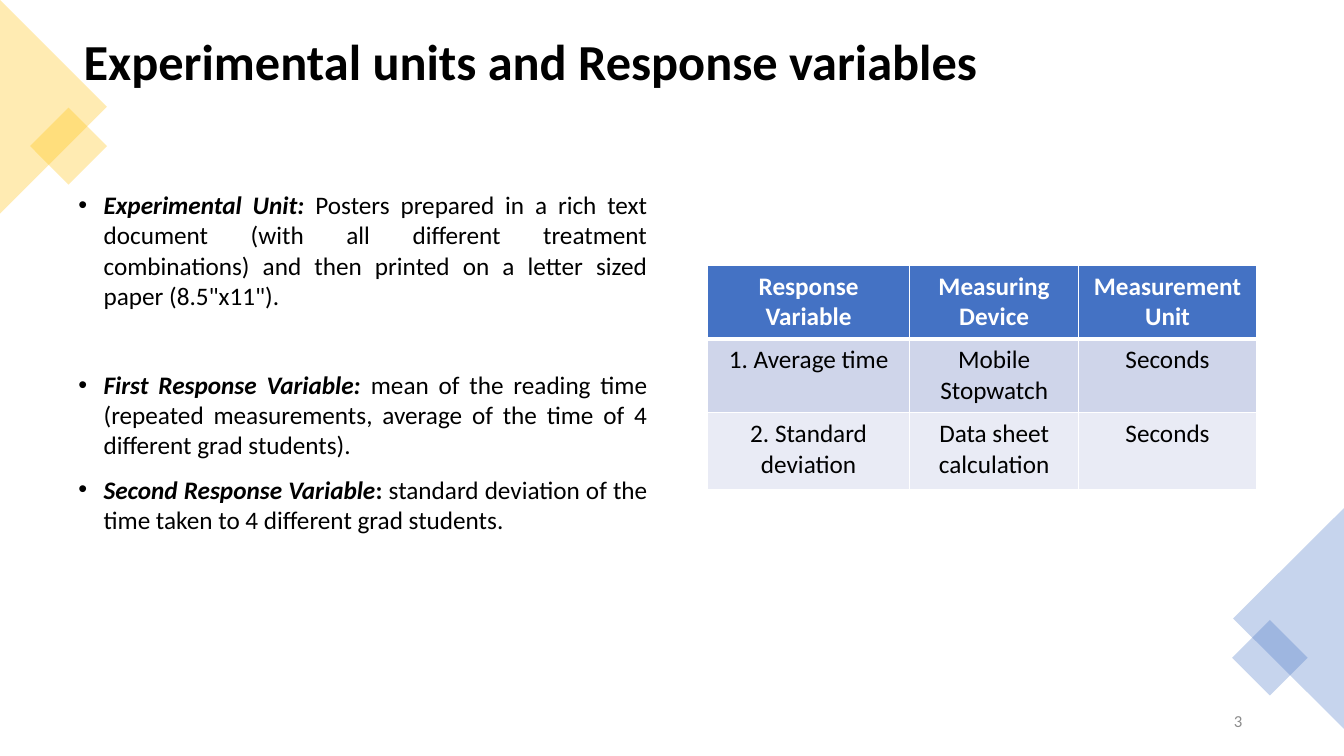
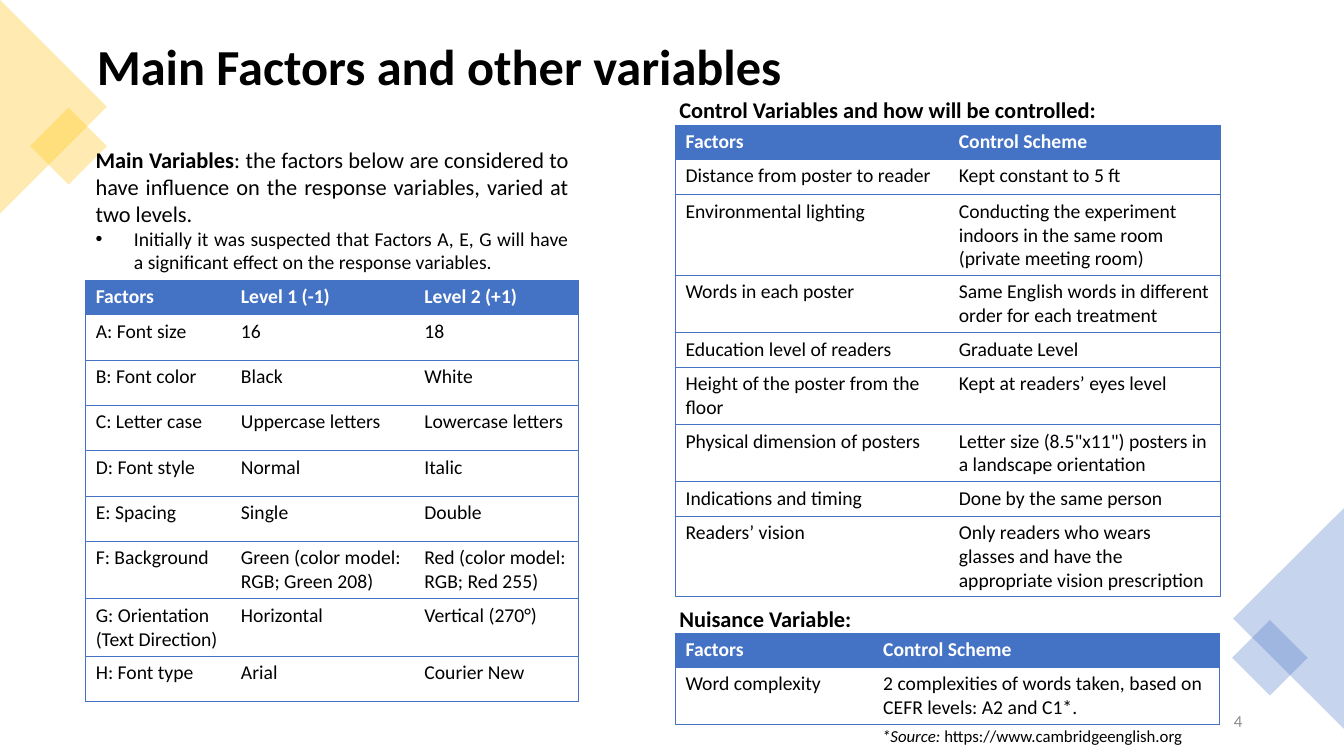
from lxml import etree
from pptx import Presentation
from pptx.dml.color import RGBColor
from pptx.enum import shapes, text
from pptx.oxml import ns
from pptx.util import Inches, Pt

BLUE, YELLOW, BLACK, WHITE, GRAY = "4472C4", "FFC000", "000000", "FFFFFF", "8C8C8C"
FONT = "Calibri"
LEFT, CENTER, RIGHT, JUSTIFY = (
    text.PP_ALIGN.LEFT, text.PP_ALIGN.CENTER, text.PP_ALIGN.RIGHT, text.PP_ALIGN.JUSTIFY)
MIDDLE, TOP = text.MSO_ANCHOR.MIDDLE, text.MSO_ANCHOR.TOP
color = RGBColor.from_string


def add_text(slide, box, paragraphs, align=JUSTIFY, ink=BLACK, anchor=TOP):
    frame = slide.shapes.add_textbox(*[Inches(n) for n in box]).text_frame
    frame.word_wrap = True
    frame.vertical_anchor = anchor
    for i, (size, indent, before, runs) in enumerate(paragraphs):
        paragraph = frame.add_paragraph() if i else frame.paragraphs[0]
        paragraph.alignment = align
        if before:
            paragraph.space_before = Pt(before)
        if indent:
            props = paragraph._p.get_or_add_pPr()
            props.set("marL", str(Inches(indent)))
            props.set("indent", str(-Inches(indent)))
            etree.SubElement(props, ns.qn("a:buFont"), typeface="Arial")
            etree.SubElement(props, ns.qn("a:buChar"), char="•")
        paragraph.font.name = FONT
        paragraph.font.size = Pt(size)
        paragraph.font.color.rgb = color(ink)
        for words, style in runs:
            run = paragraph.add_run()
            run.text = words
            run.font.bold = "b" in style
            run.font.italic = "i" in style


def add_grid(slide, left, top, widths, heights, rows, size=14, align=LEFT,
             margins=(0.1, 0.05), bands=None):
    table = slide.shapes.add_table(
        len(rows), len(widths), Inches(left), Inches(top),
        Inches(sum(widths)), Inches(sum(heights))).table
    table.horz_banding = False
    for column, width in zip(table.columns, widths):
        column.width = Inches(width)
    for r, (row, height) in enumerate(zip(rows, heights)):
        table.rows[r].height = Inches(height)
        for c, words in enumerate(row):
            cell = table.cell(r, c)
            cell.margin_left = cell.margin_right = Inches(margins[0])
            cell.margin_top = cell.margin_bottom = Inches(margins[1])
            if bands:
                edges = {"L": 1, "R": 1, "T": 3 if r == 1 else 1, "B": 1 if r else 3}
            else:
                edges = {"L": 0 if c else 0.5, "R": 0.5 if c == len(row) - 1 else 0,
                         "T": 0.5, "B": 0.5}
            for side, points in edges.items():
                line = etree.SubElement(
                    cell._tc.get_or_add_tcPr(), ns.qn("a:ln" + side), w=str(Pt(points)))
                if points:
                    paint = etree.SubElement(line, ns.qn("a:solidFill"))
                    etree.SubElement(paint, ns.qn("a:srgbClr"), val=WHITE if bands else BLUE)
                else:
                    etree.SubElement(line, ns.qn("a:noFill"))
            if r == 0 or bands:
                cell.fill.solid()
                cell.fill.fore_color.rgb = color(bands[(r - 1) % 2] if r else BLUE)
            else:
                cell.fill.background()
            cell.text = words
            paragraph = cell.text_frame.paragraphs[0]
            paragraph.alignment = align
            paragraph.font.name = FONT
            paragraph.font.size = Pt(size)
            paragraph.font.bold = r == 0
            paragraph.font.color.rgb = color(BLACK if r else WHITE)


prs = Presentation()
prs.slide_width, prs.slide_height = Inches(13.33), Inches(7.5)

TRIANGLE, SQUARE = shapes.MSO_SHAPE.ISOSCELES_TRIANGLE, shapes.MSO_SHAPE.RECTANGLE
ornaments = [
    (SQUARE, YELLOW, 45, (0.41, 1.18, 0.54, 0.54)),
    (TRIANGLE, YELLOW, 90, (-0.53, 0.53, 2.12, 1.06)),
    (TRIANGLE, BLUE, 270, (11.68, 5.58, 2.21, 1.11)),
    (SQUARE, BLUE, 45, (12.33, 6.26, 0.53, 0.53)),
]
pages = [
    ("Experimental units and Response variables", (0.73, 0.2, 11.88, 0.87), "3"),
    ("Main Factors and other variables", (0.86, 0.31, 11.5, 0.76), "4"),
]
slides = []
for heading, box, number in pages:
    slide = prs.slides.add_slide(prs.slide_layouts[5])
    slides.append(slide)
    for kind, tint, angle, place in ornaments:
        ornament = slide.shapes.add_shape(kind, *[Inches(n) for n in place])
        ornament.rotation = angle
        ornament.shadow.inherit = False
        ornament.line.fill.background()
        ornament.fill.solid()
        ornament.fill.fore_color.rgb = color(tint)
        tint_xml = ornament._element.spPr.find(".//" + ns.qn("a:srgbClr"))
        etree.SubElement(tint_xml, ns.qn("a:alpha"), val="30000")
    title = slide.shapes.title
    title.left, title.top, title.width, title.height = [Inches(n) for n in box]
    title.text_frame.text = heading
    title.text_frame.vertical_anchor = MIDDLE
    paragraph = title.text_frame.paragraphs[0]
    paragraph.alignment = LEFT
    paragraph.line_spacing = 0.9
    paragraph.font.name = FONT
    paragraph.font.size = Pt(36)
    paragraph.font.bold = True
    paragraph.font.color.rgb = color(BLACK)
    add_text(slide, (9.42, 6.95, 3, 0.4), [(12, 0, 0, [(number, "")])], RIGHT, GRAY, MIDDLE)

units, factors = slides

add_text(units, (0.68, 1.83, 5.84, 4.81), [
    (18, 0.25, 0, [
        ("Experimental Unit: ", "bi"),
        ("Posters prepared in a rich text document (with all different treatment "
         "combinations) and then printed on a letter sized paper (8.5\"x11\").", "")]),
    (18, 0.25, 42, [
        ("First Response Variable: ", "bi"),
        ("mean of the reading time (repeated measurements, average of the time of 4 "
         "different grad students).", "")]),
    (18, 0.25, 10, [
        ("Second Response Variable", "bi"), (":", "b"),
        (" standard deviation of the time taken to 4 different grad students.", "")]),
])
add_grid(units, 7.02, 2.63, [2, 1.68, 1.76], [0.73, 0.73, 0.77], [
    ("Response Variable", "Measuring Device", "Measurement Unit"),
    ("1. Average time", "Mobile Stopwatch", "Seconds"),
    ("2. Standard deviation", "Data sheet calculation", "Seconds"),
], 18, CENTER, (0.12, 0.06), ("CFD5EA", "E9EBF5"))

add_text(factors, (0.85, 1.4, 4.89, 1.38), [
    (16, 0, 0, [
        ("Main Variables", "b"),
        (": the factors below are considered to have influence on the response "
         "variables, varied at two levels.", "")]),
    (14, 0.38, 0, [
        ("Initially it was suspected that Factors A, E, G will have a significant "
         "effect on the response variables.", "")]),
])
add_grid(factors, 0.85, 2.78, [1.44, 1.82, 1.63], [0.34] + [0.45] * 5 + [0.57] * 2 + [0.45], [
    ("Factors", "Level 1 (-1)", "Level 2 (+1)"),
    ("A: Font size", "16", "18"),
    ("B: Font color", "Black", "White"),
    ("C: Letter case", "Uppercase letters", "Lowercase letters"),
    ("D: Font style", "Normal", "Italic"),
    ("E: Spacing", "Single", "Double"),
    ("F: Background", "Green (color model: RGB; Green 208)", "Red (color model: RGB; Red 255)"),
    ("G: Orientation (Text Direction)", "Horizontal", "Vertical (270°)"),
    ("H: Font type", "Arial", "Courier New"),
])

add_text(factors, (6.64, 0.9, 4.51, 0.37),
         [(16, 0, 0, [("Control Variables and how will be controlled:", "b")])])
add_grid(factors, 6.7, 1.24, [2.71, 2.69],
         [0.34, 0.35, 0.8, 0.57, 0.34, 0.57, 0.57, 0.34, 0.8], [
    ("Factors", "Control Scheme"),
    ("Distance from poster to reader", "Kept constant to 5 ft"),
    ("Environmental lighting",
     "Conducting the experiment indoors in the same room (private meeting room)"),
    ("Words in each poster", "Same English words in different order for each treatment"),
    ("Education level of readers", "Graduate Level"),
    ("Height of the poster from the floor", "Kept at readers’ eyes level"),
    ("Physical dimension of posters",
     "Letter size (8.5\"x11\") posters in a landscape orientation"),
    ("Indications and timing", "Done by the same person"),
    ("Readers’ vision",
     "Only readers who wears glasses and have the appropriate vision prescription"),
])

add_text(factors, (6.64, 5.95, 5.16, 0.37), [(16, 0, 0, [("Nuisance Variable:", "b")])])
add_grid(factors, 6.7, 6.28, [1.96, 3.43], [0.34, 0.57], [
    ("Factors", "Control Scheme"),
    ("Word complexity", "2 complexities of words taken, based on CEFR levels: A2 and C1*."),
])
add_text(factors, (8.65, 7.15, 3.19, 0.3),
         [(12, 0, 0, [("*Source: ", "i"), ("https://www.cambridgeenglish.org", "")])], LEFT)

prs.save("out.pptx")
